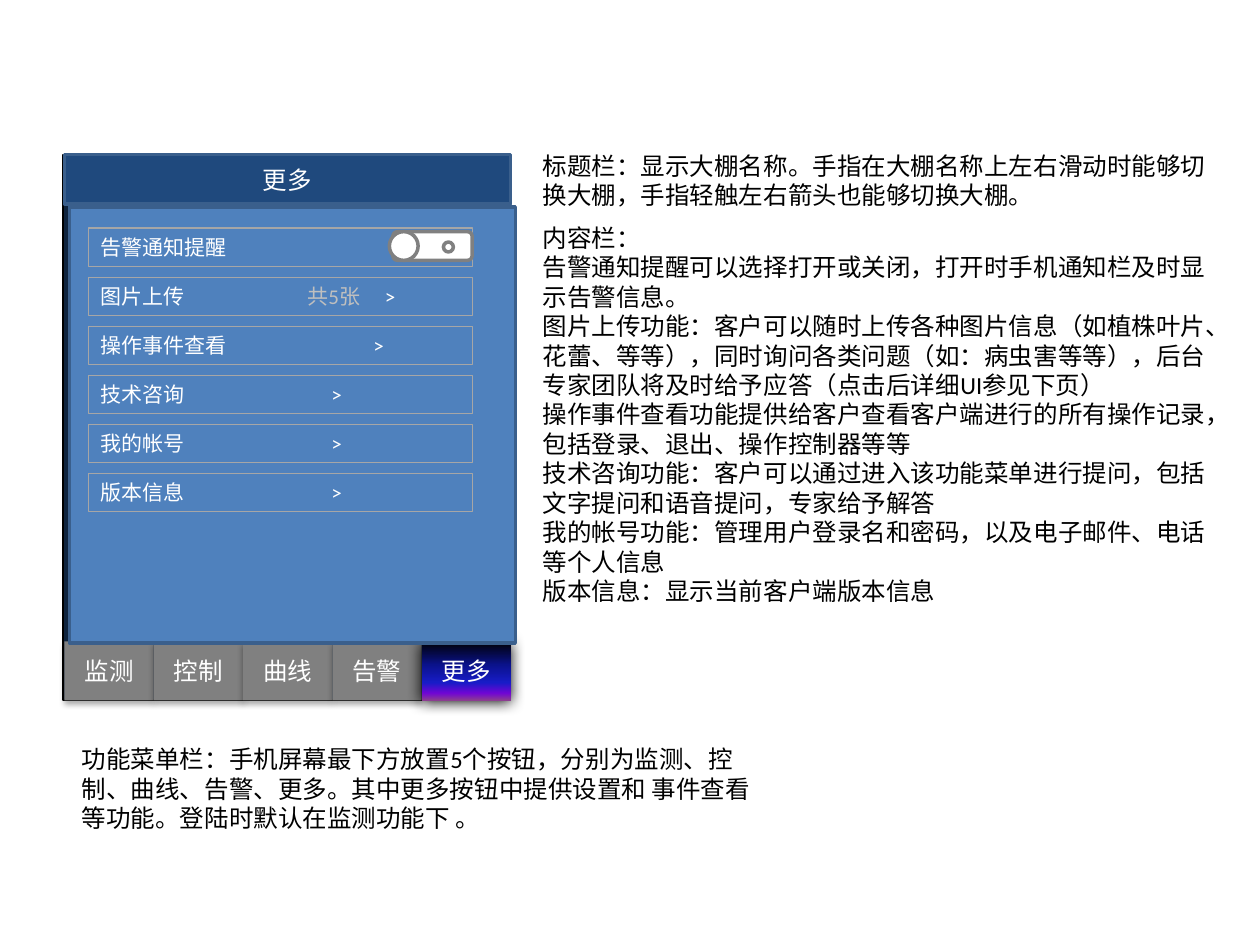
from lxml import etree
from pptx import Presentation
from pptx.dml.color import RGBColor
from pptx.enum.shapes import MSO_SHAPE
from pptx.enum.text import MSO_ANCHOR, MSO_AUTO_SIZE, PP_ALIGN
from pptx.oxml.ns import qn
from pptx.util import Cm, Pt

RECT, ROUNDED, OVAL = MSO_SHAPE.RECTANGLE, MSO_SHAPE.ROUNDED_RECTANGLE, MSO_SHAPE.OVAL
LEFT, CENTER = PP_ALIGN.LEFT, PP_ALIGN.CENTER
TOP, MIDDLE = MSO_ANCHOR.TOP, MSO_ANCHOR.MIDDLE
LATIN, CJK = "Calibri", "Noto Sans CJK SC"

# Content
HEADER = "更多"
MENU = ["监测", "控制", "曲线", "告警", "更多"]
# Each settings row: label, then (tab position in cm, text, colour)
SETTINGS = [
    ("告警通知提醒", []),
    ("图片上传", [(4.17, "共5张", "BFBFBF"), (5.73, ">", "FFFFFF")]),
    ("操作事件查看", [(5.5, ">", "FFFFFF")]),
    ("技术咨询", [(4.65, ">", "FFFFFF")]),
    ("我的帐号", [(4.65, ">", "FFFFFF")]),
    ("版本信息", [(4.65, ">", "FFFFFF")]),
]
# Explanations: left, top, width, height in cm, paragraphs
NOTES = [
    ((10.69, 2.92, 14, 1.45), [
        "标题栏：显示大棚名称。手指在大棚名称上左右滑动时能够切换大棚，手指轻触左右箭头也能够切换大棚。"]),
    ((1.4, 14.88, 14, 2.06), [
        "功能菜单栏：手机屏幕最下方放置5个按钮，分别为监测、控制、曲线、告警、更多。"
        "其中更多按钮中提供设置和 事件查看等功能。登陆时默认在监测功能下 。"]),
    ((10.69, 4.37, 14, 8.64), [
        "内容栏：",
        "告警通知提醒可以选择打开或关闭，打开时手机通知栏及时显示告警信息。",
        "图片上传功能：客户可以随时上传各种图片信息（如植株叶片、花蕾、等等），同时询问各类问题"
        "（如：病虫害等等），后台专家团队将及时给予应答（点击后详细UI参见下页）",
        "操作事件查看功能提供给客户查看客户端进行的所有操作记录，包括登录、退出、操作控制器等等",
        "技术咨询功能：客户可以通过进入该功能菜单进行提问，包括文字提问和语音提问，专家给予解答",
        "我的帐号功能：管理用户登录名和密码，以及电子邮件、电话等个人信息",
        "版本信息：显示当前客户端版本信息"]),
]
ACTIVE_STOPS = [(0, "000000"), (40, "0A128C"), (70, "181CC7"), (88, "7005D4"), (100, "8C3D91")]

prs = Presentation()
prs.slide_width, prs.slide_height = Cm(25.4), Cm(19.05)
slide = prs.slides.add_slide(prs.slide_layouts[6])


def rgb(value):
    return RGBColor.from_string(value)


def sub(parent, tag, **attributes):
    return etree.SubElement(parent, qn(tag), {k: str(v) for k, v in attributes.items()})


def style(paragraph, size, color, font=LATIN, align=LEFT):
    paragraph.alignment = align
    paragraph.font.size = Pt(size)
    paragraph.font.name = font
    paragraph.font.color.rgb = rgb(color)


def add_block(kind, box, fill=None, line=None, width=1):
    block = slide.shapes.add_shape(kind, *map(Cm, box))
    block.shadow.inherit = False
    if fill:
        block.fill.solid()
        block.fill.fore_color.rgb = rgb(fill)
    else:
        block.fill.background()
    if line:
        block.line.color.rgb = rgb(line)
        block.line.width = Pt(width)
    else:
        block.line.fill.background()
    return block


def add_label(block, text, font):
    frame = block.text_frame
    frame.vertical_anchor = MIDDLE
    frame.text = text
    style(frame.paragraphs[0], 14, "FFFFFF", font, CENTER)


def add_shadow(block, alpha, blur, distance):
    effects = block.element.spPr.find(qn("a:effectLst"))
    shadow = sub(effects, "a:outerShdw", blurRad=Pt(blur), dist=Pt(distance),
                 dir=5400000, rotWithShape=0)
    sub(sub(shadow, "a:srgbClr", val="000000"), "a:alpha", val=alpha * 1000)


def fill_gradient(block, stops):
    block.fill.gradient()
    block.fill.gradient_angle = 270
    stop_list = block.element.spPr.find(qn("a:gradFill")).find(qn("a:gsLst"))
    for old in list(stop_list):
        stop_list.remove(old)
    for position, color in stops:
        sub(sub(stop_list, "a:gs", pos=position * 1000), "a:srgbClr", val=color)


# Phone with its bottom menu; the last button is active
add_block(RECT, (1.27, 3.12, 8.99, 11), "0F243E", "000000")
for i, name in enumerate(MENU):
    button = add_block(RECT, (1.3 + 1.8 * i, 12.93, 1.8, 1.19), "808080")
    if i == len(MENU) - 1:
        fill_gradient(button, ACTIVE_STOPS)
        add_shadow(button, 100, 8.5, 1)
    else:
        add_shadow(button, 32, 3.5, 2.2)
    add_label(button, name, CJK)

# Header bar and content panel
header = add_block(RECT, (1.3, 3.12, 8.99, 0.99), "1F497D", "3A5F8C", 2)
add_label(header, HEADER, LATIN)
add_block(RECT, (1.4, 4.17, 8.99, 8.79), "4F81BD", "3A5F8C", 2)

# Explanations
for box, paragraphs in NOTES:
    frame = slide.shapes.add_textbox(*map(Cm, box)).text_frame
    frame.word_wrap = True
    frame.auto_size = MSO_AUTO_SIZE.SHAPE_TO_FIT_TEXT
    frame.text = "\n".join(paragraphs)
    for paragraph in frame.paragraphs:
        style(paragraph, 14, "000000")

# Settings rows, aligned with tab stops
for i, (label, details) in enumerate(SETTINGS):
    row = add_block(RECT, (1.78, 4.6 + 0.99 * i, 7.75, 0.77), line="A6A6A6", width=0.75)
    frame = row.text_frame
    frame.vertical_anchor = TOP
    frame.auto_size = MSO_AUTO_SIZE.SHAPE_TO_FIT_TEXT
    paragraph = frame.paragraphs[0]
    paragraph.add_run().text = label
    style(paragraph, 12, "FFFFFF")
    if details:
        tabs = etree.Element(qn("a:tabLst"))
        paragraph._p.get_or_add_pPr().insert(0, tabs)
        for position, text, color in details:
            sub(tabs, "a:tab", pos=Cm(position), algn="l")
            run = paragraph.add_run()
            run.text = "\t" + text
            run.font.color.rgb = rgb(color)

# Alert switch: track, knob, dot
for kind, box in [(ROUNDED, (7.92, 4.67, 1.6, 0.58)),
                  (OVAL, (7.85, 4.67, 0.58, 0.58)),
                  (OVAL, (8.94, 4.88, 0.2, 0.2))]:
    add_block(kind, box, "FFFFFF", "808080", 2)

prs.save("out.pptx")
